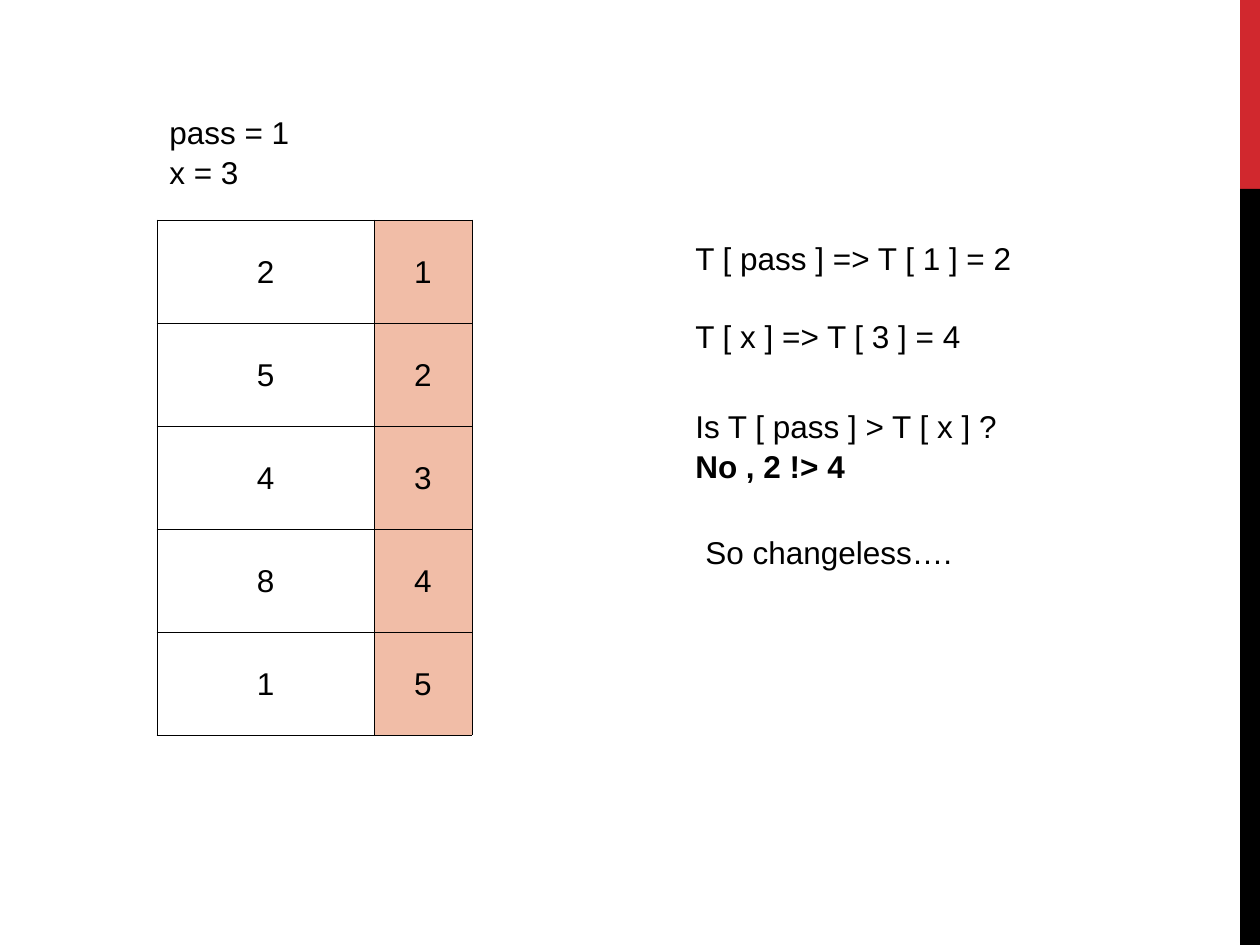
from dataclasses import dataclass
from lxml.etree import SubElement
from pptx import Presentation
from pptx.dml.color import RGBColor
from pptx.enum.shapes import MSO_SHAPE as Shape
from pptx.enum.text import MSO_ANCHOR as Anchor, MSO_AUTO_SIZE as AutoSize, PP_ALIGN as Align
from pptx.oxml.ns import qn
from pptx.slide import Slide
from pptx.util import Emu, Pt

COLORS = {"text": "000000", "accent": "D1282E", "bar": "000000", "index": "F1BDA7", "border": "000000"}
SCALE = 914400 / 126


def px(*lengths):
    return [Emu(round(length * SCALE)) for length in lengths]


@dataclass
class SlideBuilder:
    """Draw styled elements on the current slide."""
    slide: Slide
    font: str = "Arial"
    size: int = 18
    line_spacing: float = 1.05
    border: float = 0.45

    def color(self, name):
        return RGBColor.from_string(COLORS[name])

    def fill_paragraph(self, paragraph, text, bold=False, **formats):
        for name, value in {"line_spacing": self.line_spacing, **formats}.items():
            setattr(paragraph, name, value)
        run = paragraph.add_run()
        run.text = text
        font = {"name": self.font, "size": Pt(self.size), "bold": bold}
        for name, value in font.items():
            setattr(run.font, name, value)
        run.font.color.rgb = self.color("text")

    def bar(self, left, top, width, height, color):
        shape = self.slide.shapes.add_shape(Shape.RECTANGLE, *px(left, top, width, height))
        shape.shadow.inherit = False
        shape.fill.solid()
        shape.fill.fore_color.rgb = self.color(color)
        shape.line.fill.background()

    def text(self, left, top, width, height, lines):
        frame = self.slide.shapes.add_textbox(*px(left, top, width, height)).text_frame
        frame.word_wrap = True
        frame.auto_size = AutoSize.SHAPE_TO_FIT_TEXT
        for number, (line, formats) in enumerate(lines):
            paragraph = frame.add_paragraph() if number else frame.paragraphs[0]
            self.fill_paragraph(paragraph, line, **formats)

    def outline(self, cell):
        properties = cell._tc.get_or_add_tcPr()
        for position, side in enumerate(("lnL", "lnR", "lnT", "lnB")):
            line = SubElement(properties, qn(f"a:{side}"), w=str(int(Pt(self.border))))
            fill = SubElement(line, qn("a:solidFill"))
            SubElement(fill, qn("a:srgbClr"), val=COLORS["border"])
            properties.insert(position, line)

    def table(self, left, top, widths, row_height, rows, fills):
        size = px(left, top, sum(widths), row_height * len(rows))
        table = self.slide.shapes.add_table(len(rows), len(widths), *size).table
        table.first_row = table.horz_banding = False
        for column, width in zip(table.columns, px(*widths)):
            column.width = width
        for row, values in zip(table.rows, rows):
            row.height = px(row_height)[0]
            for cell, value, fill in zip(row.cells, values, fills):
                cell.vertical_anchor = Anchor.MIDDLE
                self.fill_paragraph(cell.text_frame.paragraphs[0], str(value), alignment=Align.CENTER)
                if fill:
                    cell.fill.solid()
                    cell.fill.fore_color.rgb = self.color(fill)
                else:
                    cell.fill.background()
                self.outline(cell)


def main():
    presentation = Presentation()
    presentation.slide_width, presentation.slide_height = px(1260, 945)
    builder = SlideBuilder(presentation.slides.add_slide(presentation.slide_layouts[6]))

    builder.bar(1240, 0, 20, 189, "accent")
    builder.bar(1240, 189, 20, 756, "bar")

    values = [2, 5, 4, 8, 1]
    rows = [(value, index) for index, value in enumerate(values, 1)]
    builder.table(157, 220, [217, 98], 103, rows, [None, "index"])

    builder.text(157, 105, 231, 88, [("pass = 1", {}), ("x = 3", {})])
    builder.text(683, 231, 451, 126, [
        ("T [ pass ] => T [ 1 ] = 2", {}),
        ("T [ x ] => T [ 3 ] = 4", {"space_before": px(38)[0]}),
    ])
    builder.text(683, 399, 431, 88, [
        ("Is T [ pass ] > T [ x ] ?", {}),
        ("No , 2 !> 4", {"bold": True}),
    ])
    builder.text(693, 525, 399, 50, [("So changeless….", {})])

    presentation.save("out.pptx")


if __name__ == "__main__":
    main()
